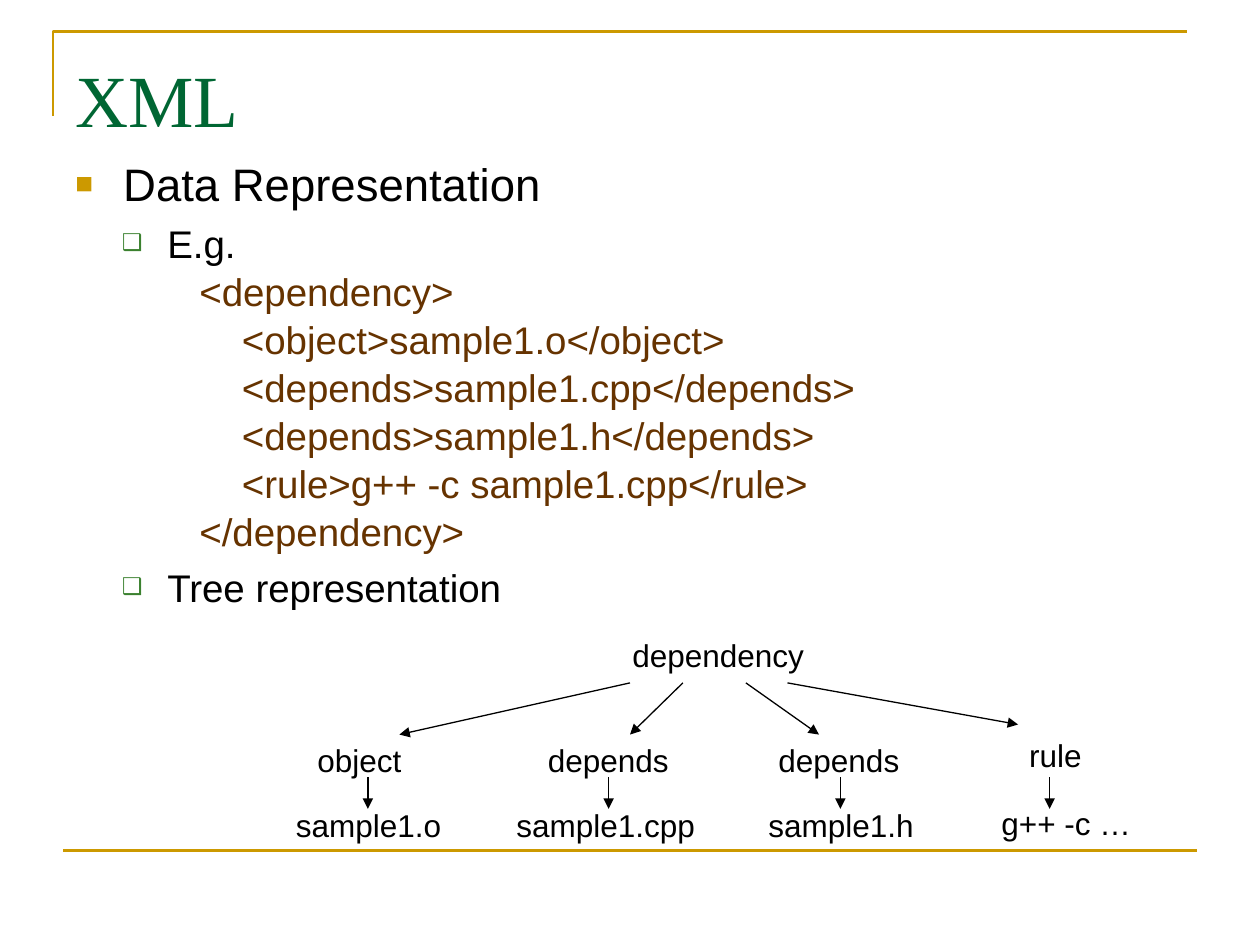
from dataclasses import dataclass

from lxml.etree import SubElement
from pptx import Presentation
from pptx.dml.color import RGBColor as RGB
from pptx.enum.shapes import MSO_CONNECTOR as CONN
from pptx.enum.text import MSO_ANCHOR as ANCHOR
from pptx.oxml.ns import qn
from pptx.util import Inches, Pt


@dataclass(frozen=True)
class Theme:
    gold: str = "CC9900"
    green: str = "006633"
    bullet_green: str = "3B812F"
    brown: str = "663300"
    black: str = "000000"
    head_font: str = "Times New Roman"
    body_font: str = "Arial"
    title: int = 42
    level1: int = 26
    level2: int = 22
    label: int = 18


CODE = """   <dependency>
       <object>sample1.o</object>
       <depends>sample1.cpp</depends>
       <depends>sample1.h</depends>
       <rule>g++ -c sample1.cpp</rule>
   </dependency>"""

# text, left, top, width
LABELS = [
    ("dependency", 4.92, 5, 1.56),
    ("object", 2.42, 5.83, 0.87),
    ("depends", 4.25, 5.83, 1.16),
    ("depends", 6.08, 5.83, 1.16),
    ("rule", 8.07, 5.79, 0.62),
    ("sample1.o", 2.25, 6.35, 1.35),
    ("sample1.cpp", 4, 6.35, 1.62),
    ("sample1.h", 6, 6.35, 1.35),
    ("g++ -c …", 7.85, 6.33, 1.23),
]
# start x, end x, end y of the branches below the root
BRANCHES = [(5, 3.17, 5.83), (5.42, 5, 5.83), (5.92, 6.5, 5.83), (6.25, 8.08, 5.75)]
# x, line width of the arrows down to the leaves
STEMS = [(2.92, 1), (4.83, 0.75), (6.67, 0.75), (8.33, 0.75)]


def add_text(p, text, *, size, color, font):
    """Add text to a paragraph, with each newline as a line break."""
    for i, line in enumerate(text.split("\n")):
        if i:
            p.add_line_break()
        if line:
            r = p.add_run()
            r.text = line
            r.font.size, r.font.name = Pt(size), font
            r.font.color.rgb = RGB.from_string(color)


def set_bullet(p, char, *, color, percent, margin, hanging):
    pPr = p._p.get_or_add_pPr()
    pPr.set("marL", str(Inches(margin)))
    pPr.set("indent", str(-Inches(hanging)))
    clr = SubElement(pPr, qn("a:buClr"))
    SubElement(clr, qn("a:srgbClr"), val=color)
    SubElement(pPr, qn("a:buSzPct"), val=str(percent * 1000))
    SubElement(pPr, qn("a:buFont"), typeface="Arial")
    SubElement(pPr, qn("a:buChar"), char=char)


class SlideBuilder:
    def __init__(self, slide, theme):
        self.s = slide
        self.t = theme

    def text_box(self, left, top, width, height, wrap=True):
        sp = self.s.shapes.add_textbox(*map(Inches, (left, top, width, height)))
        tf = sp.text_frame
        tf.word_wrap = wrap
        tf.vertical_anchor = ANCHOR.TOP
        return tf

    def title(self, text):
        tf = self.text_box(0.5, 0.3, 9, 1.25)
        tf.margin_top = Inches(0.13)
        add_text(tf.paragraphs[0], text, size=self.t.title,
                 color=self.t.green, font=self.t.head_font)

    def label(self, text, left, top, width):
        tf = self.text_box(left, top, width, 0.4, wrap=False)
        add_text(tf.paragraphs[0], text, size=self.t.label,
                 color=self.t.black, font=self.t.body_font)

    def body(self, items):
        """Add the outline; items hold a level and (text, colour) parts."""
        t = self.t
        styles = {
            1: (t.level1, "■", dict(color=t.gold, percent=65, margin=0.38, hanging=0.38)),
            2: (t.level2, "❑", dict(color=t.bullet_green, percent=60, margin=0.73, hanging=0.36)),
        }
        tf = self.text_box(0.5, 1.17, 9, 4.95)
        for i, (level, parts) in enumerate(items):
            p = tf.add_paragraph() if i else tf.paragraphs[0]
            size, char, bullet = styles[level]
            p.level = level - 1
            p.line_spacing = 1.04
            p.space_before = Pt(0.2 * size if i else 0)
            set_bullet(p, char, **bullet)
            for text, color in parts:
                add_text(p, text, size=size, color=color, font=t.body_font)

    def line(self, x1, y1, x2, y2, color, width, arrow=False):
        sp = self.s.shapes.add_connector(CONN.STRAIGHT, *map(Inches, (x1, y1, x2, y2)))
        sp.line.color.rgb = RGB.from_string(color)
        sp.line.width = Pt(width)
        if arrow:
            SubElement(sp.line._get_or_add_ln(), qn("a:tailEnd"), type="triangle")
        SubElement(sp._element.spPr, qn("a:effectLst"))

    def corner(self, points):
        start, *rest = [(Inches(x), Inches(y)) for x, y in points]
        fb = self.s.shapes.build_freeform(*start)
        fb.add_line_segments(rest, close=False)
        sp = fb.convert_to_shape()
        sp.shadow.inherit = False
        sp.fill.background()
        sp.line.color.rgb = RGB.from_string(self.t.gold)
        sp.line.width = Pt(1.5)


def main():
    prs = Presentation()
    prs.slide_width, prs.slide_height = Inches(10), Inches(7.5)
    t = Theme()
    b = SlideBuilder(prs.slides.add_slide(prs.slide_layouts[6]), t)

    b.corner([(0.42, 0.92), (0.42, 0.25), (9.42, 0.25)])
    b.line(0.5, 6.75, 9.5, 6.75, t.gold, 1.5)
    b.title("XML")
    b.body([
        (1, [("Data Representation", t.black)]),
        (2, [("E.g.\n", t.black), (CODE, t.brown)]),
        (2, [("Tree representation", t.black)]),
    ])
    for label in LABELS:
        b.label(*label)
    for x1, x2, y2 in BRANCHES:
        b.line(x1, 5.42, x2, y2, t.black, 0.75, arrow=True)
    for x, width in STEMS:
        b.line(x, 6.17, x, 6.42, t.black, width, arrow=True)

    prs.save("out.pptx")


if __name__ == "__main__":
    main()
